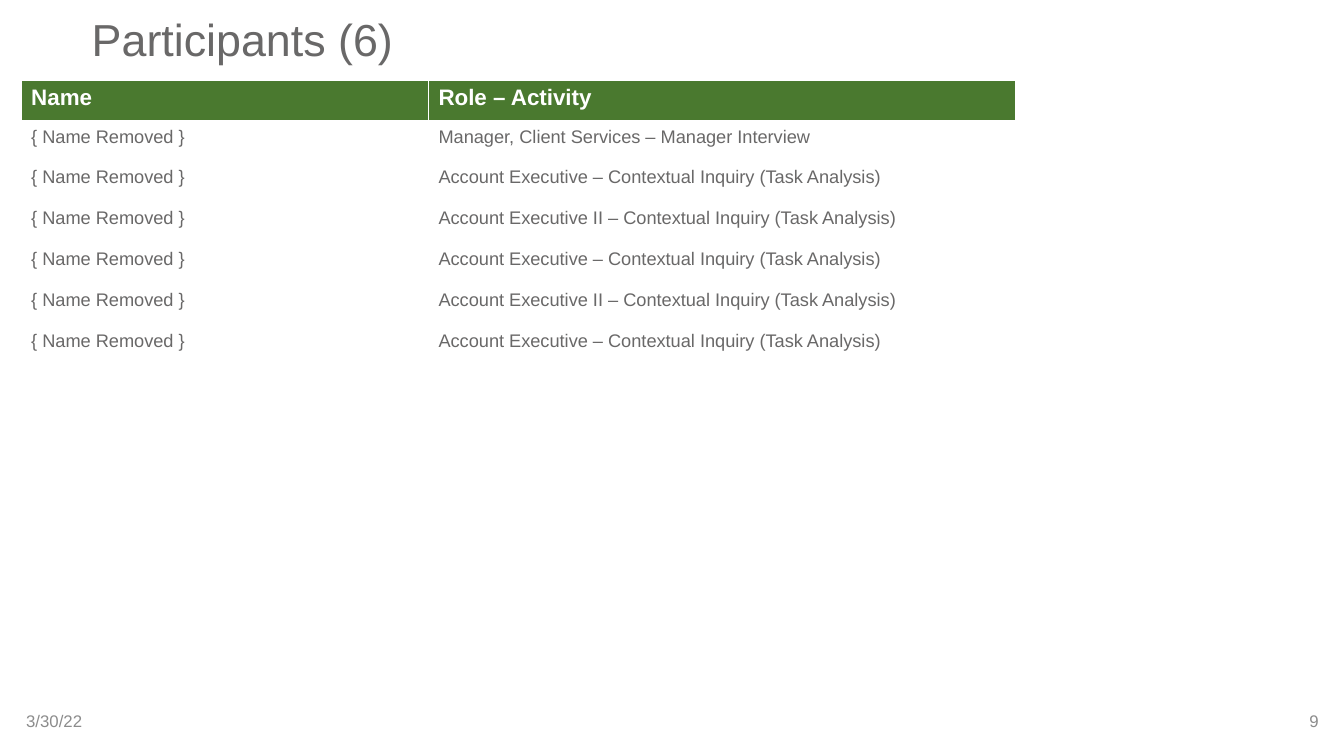
from lxml.etree import SubElement
from pptx import Presentation
from pptx.dml.color import RGBColor
from pptx.enum.text import MSO_ANCHOR, PP_ALIGN
from pptx.oxml.ns import qn
from pptx.util import Inches, Pt

GREEN, GREY, PALE, WHITE = "4A792F", "696868", "8C8C8C", "FFFFFF"
TASK = "Contextual Inquiry (Task Analysis)"
ROLES = [
    "Manager, Client Services – Manager Interview",
    f"Account Executive – {TASK}",
    f"Account Executive II – {TASK}",
    f"Account Executive – {TASK}",
    f"Account Executive II – {TASK}",
    f"Account Executive – {TASK}",
]


def color(code):
    return RGBColor.from_string(code)


def write(frame, text, size, code, bold=False, align=PP_ALIGN.LEFT):
    para = frame.paragraphs[0]
    para.alignment = align
    run = para.add_run()
    run.text = text
    run.font.name = "Arial"
    run.font.size = Pt(size)
    run.font.bold = bold
    run.font.color.rgb = color(code)
    return para


def inset(frame, left, right):
    frame.word_wrap = True
    frame.vertical_anchor = MSO_ANCHOR.MIDDLE
    frame.margin_left, frame.margin_right = Inches(left), Inches(right)
    frame.margin_top = frame.margin_bottom = Inches(0.05)


def add_title(slide, text):
    title = slide.shapes.title
    title.left, title.top = Inches(0.16), Inches(0.05)
    title.width, title.height = Inches(12.97), Inches(0.74)
    inset(title.text_frame, 0.75, 0.1)
    write(title.text_frame, text, 32, GREY).line_spacing = 0.9


def add_edges(cell, base):
    props = cell._tc.get_or_add_tcPr()
    widths = {"a:lnL": 1, "a:lnR": 1, "a:lnT": 1, "a:lnB": base}
    for spot, (tag, width) in enumerate(widths.items()):
        line = SubElement(props, qn(tag), w=str(Pt(width)))
        fill = SubElement(line, qn("a:solidFill"))
        SubElement(fill, qn("a:srgbClr"), val=WHITE)
        props.insert(spot, line)


def add_grid(slide, rows):
    frame = slide.shapes.add_table(
        len(rows), 2, Inches(0.21), Inches(0.8), Inches(9.86), Inches(2.84))
    table = frame.table
    table.horz_banding = False
    for col, width in zip(table.columns, (4.04, 5.82)):
        col.width = Inches(width)
    for r, row in enumerate(rows):
        head = r == 0
        for c, text in enumerate(row):
            cell = table.cell(r, c)
            if head:
                cell.fill.solid()
                cell.fill.fore_color.rgb = color(GREEN)
                write(cell.text_frame, text, 16, WHITE, True)
            else:
                cell.fill.background()
                write(cell.text_frame, text, 13, GREY)
            add_edges(cell, 3 if head else 1)


def add_foot(slide, text, left, pads, align):
    box = slide.shapes.add_textbox(
        Inches(left), Inches(6.95), Inches(3), Inches(0.4))
    inset(box.text_frame, *pads)
    write(box.text_frame, text, 12, PALE, align=align)


def main():
    deck = Presentation()
    deck.slide_width, deck.slide_height = Inches(13.33), Inches(7.5)
    slide = deck.slides.add_slide(deck.slide_layouts[5])
    add_title(slide, "Participants (6)")
    people = [("{ Name Removed }", role) for role in ROLES]
    add_grid(slide, [("Name", "Role – Activity")] + people)
    add_foot(slide, "3/30/22", 0.01, (0.25, 0.1), PP_ALIGN.LEFT)
    add_foot(slide, "9", 10.33, (0.1, 0.25), PP_ALIGN.RIGHT)
    deck.save("out.pptx")


if __name__ == "__main__":
    main()
